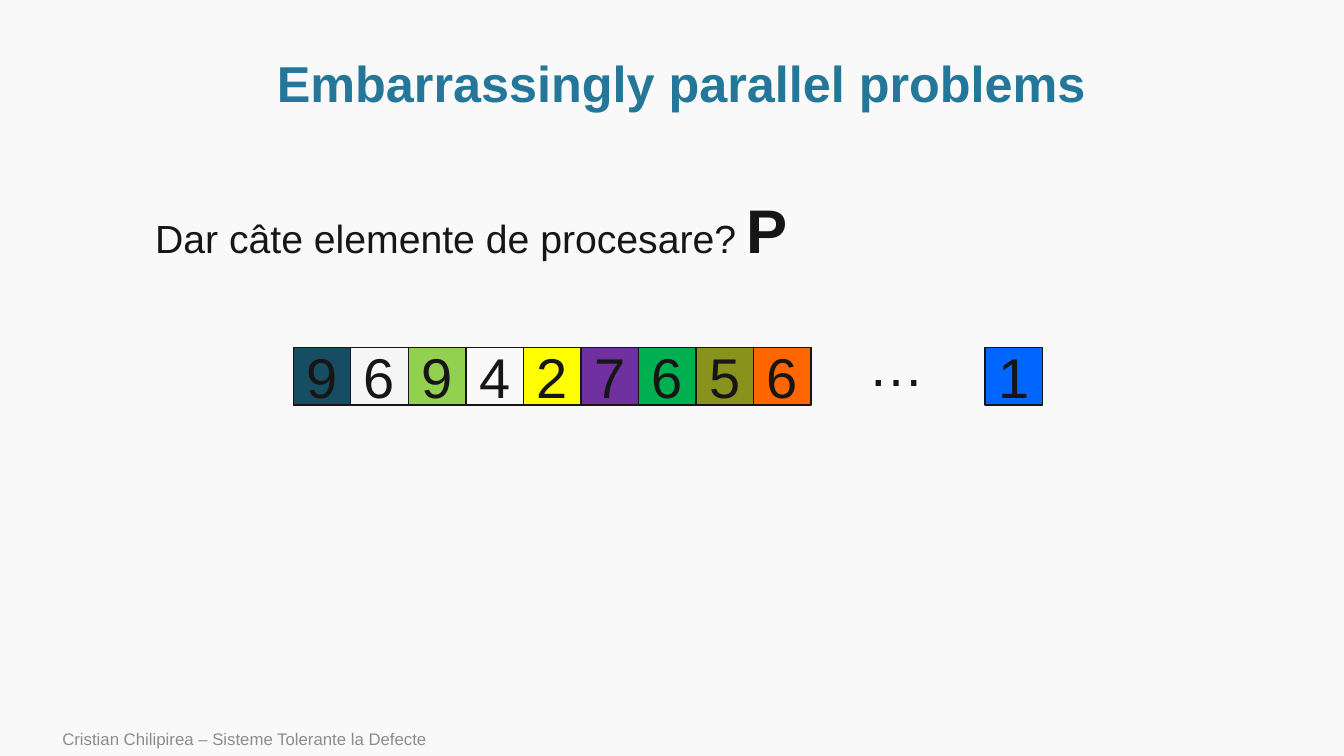
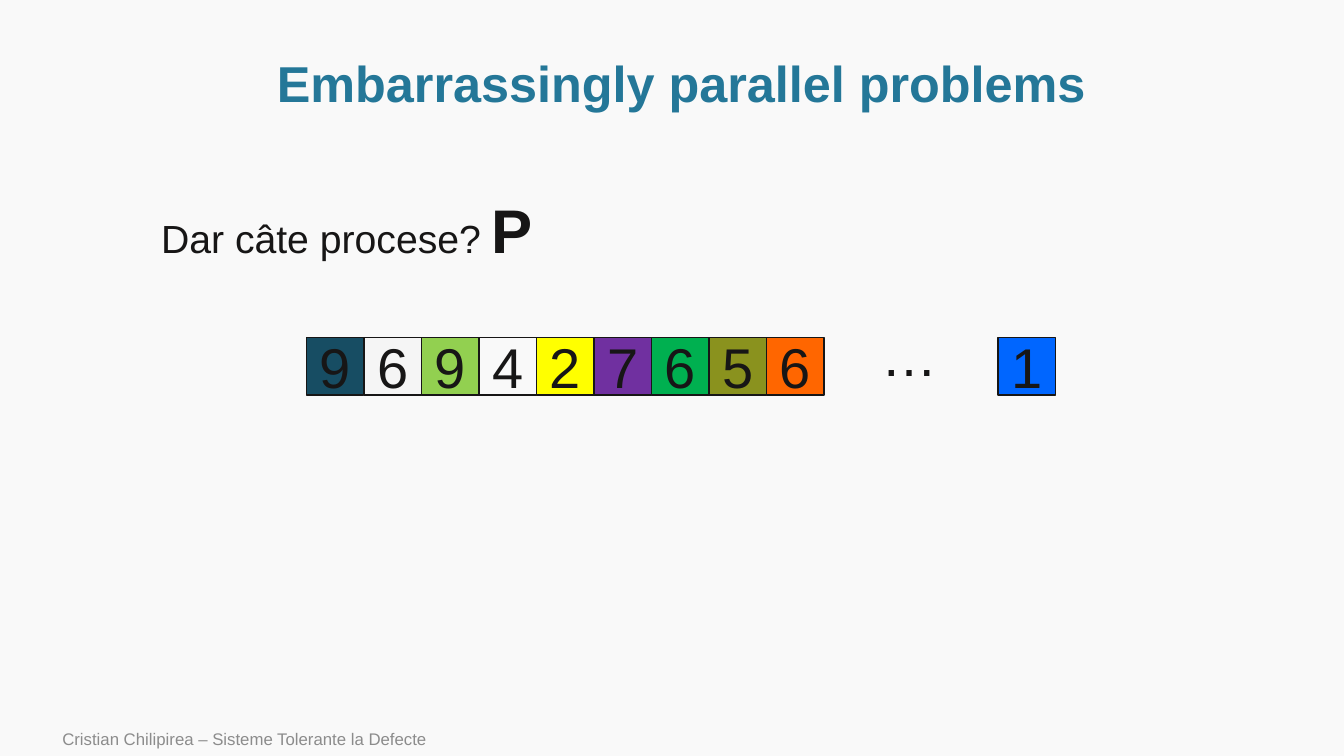
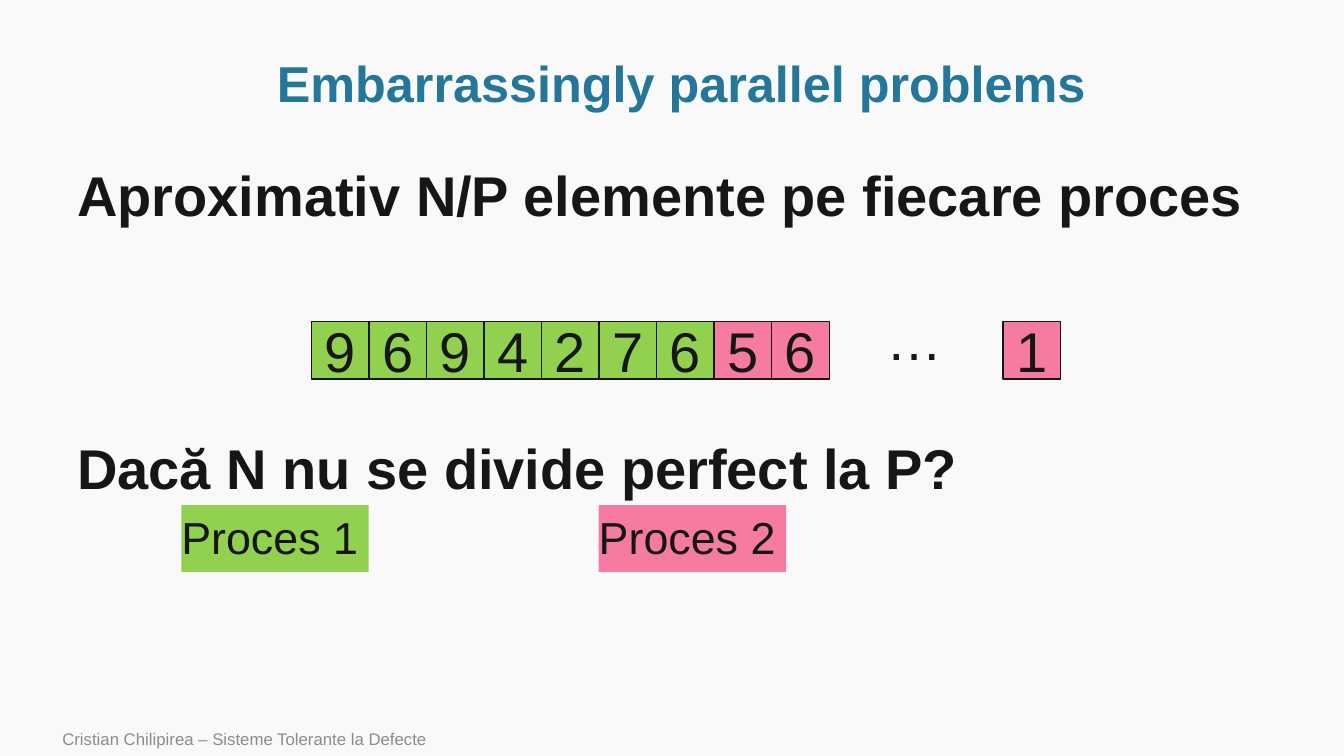
from pptx import Presentation
from pptx import util as u
from pptx.dml import color
from pptx.enum import shapes, text

TITLE = "Embarrassingly parallel problems"
FOOTER = "Cristian Chilipirea – Sisteme Tolerante la Defecte"
DIGITS = "9694276561"
INK, PAPER, TEAL, GREY = "171616", "F9F9F9", "247798", "8C8C8C"
GREEN, PINK = "92D050", "F57BA1"
RAINBOW = ["174D63", "F5F5F5", GREEN, None, "FFFF00",
           "7030A0", "00B050", "8A921E", "FF6600", "0066FF"]
BY_PROCESS = [GREEN] * 7 + [PINK] * 3

BODY = {"size": 28}
BIG = {"size": 44, "bold": True}
HEADING = {"size": 40, "bold": True}

SLIDES = [
    {"row": (7.39, 8.76), "fills": RAINBOW,
     "box": (3.66, 4.7, 17.6, 2.13),
     "lines": [(0, [("Dar câte elemente de procesare? ", BODY), ("P", BIG)])]},
    {"row": (7.72, 8.51), "fills": RAINBOW,
     "box": (3.81, 4.7, 17.6, 2.13),
     "lines": [(0, [("Dar câte procese? ", BODY), ("P", BIG)])]},
    {"row": (7.85, 8.1), "fills": BY_PROCESS,
     "legend": [("Proces 1", GREEN), ("Proces 2", PINK)],
     "box": (1.7, 3.91, 31.67, 13.41),
     "lines": [(0, [("Aproximativ N/P elemente pe fiecare proces", HEADING)]),
               (147, [("Dacă N nu se divide perfect la P?", HEADING)])]},
]

CELL = 1.45
LAST_CELL_OFFSET = 17.43
DOTS_OFFSET = (14.25, -0.56)
LEGEND_LEFT, LEGEND_TOP, LEGEND_STEP = 4.57, 12.73, 10.52


def rgb(value):
    return color.RGBColor.from_string(value)


def cm(values):
    return [u.Cm(value) for value in values]


def apply(target, formats):
    for name, value in formats.items():
        setattr(target, name, value)


def write(frame, lines, tint=INK, align=text.PP_ALIGN.LEFT, **frame_formats):
    apply(frame, {"word_wrap": True, "auto_size": text.MSO_AUTO_SIZE.NONE,
                  "vertical_anchor": text.MSO_ANCHOR.TOP, **frame_formats})
    for index, (before, runs) in enumerate(lines):
        paragraph = frame.add_paragraph() if index else frame.paragraphs[0]
        paragraph.alignment = align
        if before:
            paragraph.space_before = u.Pt(before)
        for words, formats in runs:
            run = paragraph.add_run()
            run.text = words
            apply(run.font, {"name": "Arial", **formats, "size": u.Pt(formats["size"])})
            run.font.color.rgb = rgb(tint)


def add_text(slide, box, lines, **formats):
    write(slide.shapes.add_textbox(*cm(box)).text_frame, lines, **formats)


def add_block(slide, box, words, size, fill, outline=None, **formats):
    block = slide.shapes.add_shape(shapes.MSO_SHAPE.RECTANGLE, *cm(box))
    block.shadow.inherit = False
    if fill:
        block.fill.solid()
        block.fill.fore_color.rgb = rgb(fill)
    else:
        block.fill.background()
    if outline:
        block.line.color.rgb = rgb(outline)
        block.line.width = u.Pt(1)
    else:
        block.line.fill.background()
    write(block.text_frame, [(0, [(words, {"size": size})])], **formats)


def add_frame(prs):
    slide = prs.slides.add_slide(prs.slide_layouts[5])
    add_text(slide, (1.32, 18.19, 21.34, 0.86), [(0, [(FOOTER, {"size": 12})])],
             tint=GREY, vertical_anchor=text.MSO_ANCHOR.MIDDLE)
    title = slide.shapes.title
    apply(title, dict(zip(("left", "top", "width", "height"),
                          cm((2.57, 1.3, 29.21, 1.75)))))
    write(title.text_frame, [(0, [(TITLE, {"size": 36, "bold": True})])], tint=TEAL,
          align=text.PP_ALIGN.CENTER, vertical_anchor=text.MSO_ANCHOR.MIDDLE)
    title.text_frame.paragraphs[0].line_spacing = 0.9
    return slide


def add_array(slide, left, top, fills):
    offsets = [i * CELL for i in range(len(DIGITS) - 1)] + [LAST_CELL_OFFSET]
    for digit, fill, offset in zip(DIGITS, fills, offsets):
        add_block(slide, (left + offset, top, CELL, CELL), digit, 40, fill, INK,
                  align=text.PP_ALIGN.CENTER, vertical_anchor=text.MSO_ANCHOR.MIDDLE)
    dx, dy = DOTS_OFFSET
    add_text(slide, (left + dx, top + dy, 1.93, 1.96), [(0, [("…", {"size": 40})])],
             word_wrap=False)


def main():
    prs = Presentation()
    prs.slide_width, prs.slide_height = cm((33.87, 19.05))
    background = prs.slide_master.background.fill
    background.solid()
    background.fore_color.rgb = rgb(PAPER)
    for content in SLIDES:
        slide = add_frame(prs)
        add_array(slide, *content["row"], content["fills"])
        for i, (process, fill) in enumerate(content.get("legend", [])):
            add_block(slide, (LEGEND_LEFT + i * LEGEND_STEP, LEGEND_TOP, 4.72, 1.68),
                      process, 32, fill, margin_left=0, margin_right=0)
        add_text(slide, content["box"], content["lines"])
    prs.save("out.pptx")


if __name__ == "__main__":
    main()
